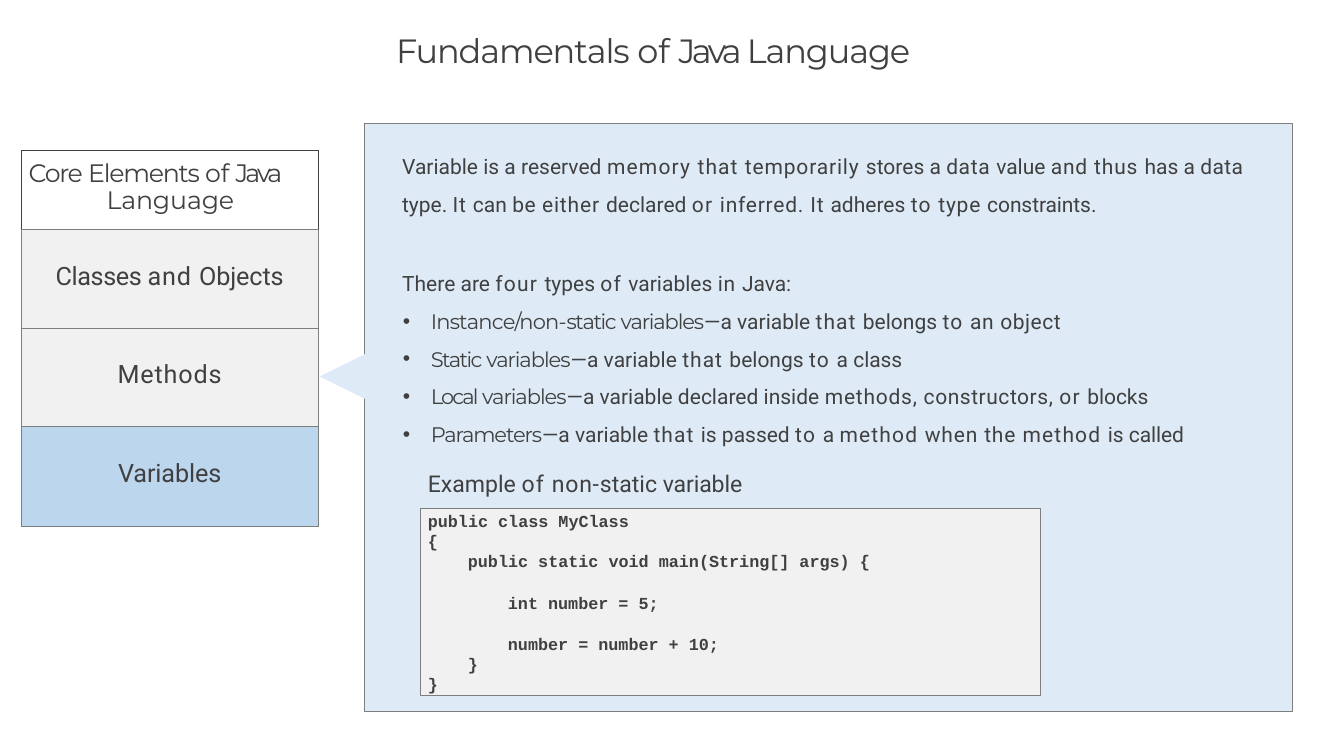
from collections import namedtuple

from lxml import etree
from pptx import Presentation
from pptx.dml.color import RGBColor
from pptx.enum.shapes import MSO_SHAPE
from pptx.enum.text import MSO_ANCHOR, PP_ALIGN
from pptx.oxml.ns import qn
from pptx.util import Pt

RECTANGLE = MSO_SHAPE.RECTANGLE
TOP, MIDDLE = MSO_ANCHOR.TOP, MSO_ANCHOR.MIDDLE
LEFT, CENTER = PP_ALIGN.LEFT, PP_ALIGN.CENTER

PX = 9144
COLORS = {
    "text": "404040",
    "rule": "7E7E7E",
    "panel": "DEEBF7",
    "gray": "F1F1F1",
    "active": "BCD6ED",
}
HEADING, BODY, CODE = "Montserrat", "Roboto", "Courier New"

Box = namedtuple("Box", "left top width height")

TITLE = [("Fundamentals ", -1.1), ("of ", -0.1), ("Java ", -3.4), ("Language", -1.1)]
MENU_HEADER = [("Core ", -1.3), ("Elements ", -1.2), ("of ", -0.2),
               ("Java ", -2.8), ("Language", -0.1)]
MENU_ITEMS = [
    ([("Classes ", -0.4), ("and ", 0.8), ("Objects", -0.1)], "gray"),
    ([("Methods", 0.8)], "gray"),
    ([("Variables", -0.1)], "active"),
]
DEFINITION = [
    ("Variable is a reserved ", 0), ("memory ", 1.1), ("that ", 1),
    ("temporarily ", 0.8), ("stores a ", 0), ("data ", 0.6), ("value ", 0),
    ("and thus ", 0.8), ("has a ", 0), ("data ", 0.3), ("type. ", 0),
    ("It ", 0.8), ("can ", 0), ("be ", 0.5), ("either ", 0.8),
    ("declared ", 0), ("or ", 1.2), ("inferred. ", 0.7), ("It ", 0.8),
    ("adheres ", 0), ("to ", 1.2), ("type ", 0.7), ("constraints.", -0.1),
]
TYPES_INTRO = [("There are ", 0), ("four ", 1.1), ("types ", 0), ("of ", 1.1),
               ("variables ", 0), ("in ", 0.8), ("Java:", -0.1)]
BELONGS = [("a variable ", 0), ("that ", 1), ("belongs ", 0), ("to ", 1.2)]
VARIABLE_TYPES = [
    ([("Instance/non-", -0.8), ("static ", -1.4), ("variables", -1.1)],
     BELONGS + [("an ", 0.6), ("object", 0.5)]),
    ([("Static ", -1.6), ("variables", -1)],
     BELONGS + [("a ", 0), ("class", -0.1)]),
    ([("Local ", -1.8), ("variables", -1)],
     [("a variable declared inside ", 0), ("methods, ", 0.7),
      ("constructors, ", 0.5), ("or ", 1.2), ("blocks", -0.1)]),
    ([("Parameters", -1.1)],
     [("a variable ", 0), ("that ", 1), ("is passed ", 0), ("to ", 1.2),
      ("a ", 0), ("method ", 1.1), ("when the ", 0.8), ("method ", 1.1),
      ("is", 0), (" called", -0.1)]),
]
EXAMPLE = [("Example ", 0), ("of ", 1.1), ("non-", 0.7), ("static ", 0),
           ("variable", -0.1)]
CODE_LINES = [
    ("public class MyClass", 0, 2),
    ("{", 0, 0),
    ("public static void main(String[] args) {", 1, 0),
    ("int number = 5;", 2, 21),
    ("number = number + 10;", 2, 20),
    ("}", 1, 0),
    ("}", 0, 0),
]


def rgb(name):
    return RGBColor.from_string(COLORS[name])


def place(box):
    return [side * PX for side in box]


def set_frame(frame, top_inset=1):
    frame.word_wrap = True
    frame.vertical_anchor = TOP
    frame.margin_left = frame.margin_right = frame.margin_bottom = 0
    frame.margin_top = top_inset * PX


def add_spans(para, spans, font=None):
    for text, spacing in spans:
        span = para.add_run()
        span.text = text
        if font:
            span.font.name = font
        if spacing:
            span.font._element.set("spc", str(round(spacing * 100)))


def add_para(frame, size, font=None, spans=(), before=0, indent=0, hanging=0,
             line=None, align=LEFT, bullet=None):
    para = frame.add_paragraph() if frame.text else frame.paragraphs[0]
    properties = para._p.get_or_add_pPr()
    properties.set("marL", str(indent * PX))
    properties.set("indent", str(-hanging * PX))
    if bullet:
        etree.SubElement(properties, qn("a:buFont"), typeface="Arial")
        etree.SubElement(properties, qn("a:buChar"), char=bullet)
    para.alignment = align
    para.space_before = Pt(before)
    if line:
        para.line_spacing = line
    para.font.size = Pt(size)
    para.font.color.rgb = rgb("text")
    if font:
        para.font.name = font
    add_spans(para, spans)
    return para


def add_box(page, box, fill, weight):
    shape = page.shapes.add_shape(RECTANGLE, *place(box))
    shape.shadow.inherit = False
    shape.fill.solid()
    shape.fill.fore_color.rgb = rgb(fill)
    shape.line.color.rgb = rgb("rule")
    shape.line.width = Pt(weight)
    return shape


def add_title(page, box):
    frame = page.shapes.add_textbox(*place(box)).text_frame
    set_frame(frame)
    add_para(frame, 32, HEADING, TITLE, before=1.1)


def set_border(cell, sides, color, weight):
    properties = cell._tc.get_or_add_tcPr()
    for side in sides:
        edge = etree.SubElement(properties, qn(f"a:ln{side}"), w=str(Pt(weight)))
        fill = etree.SubElement(edge, qn("a:solidFill"))
        etree.SubElement(fill, qn("a:srgbClr"), val=COLORS[color])


def add_menu(page, box):
    row_heights = [105, 130, 130, 132]
    table = page.shapes.add_table(len(row_heights), 1, *place(box)).table
    table.first_row = table.horz_banding = False
    table.columns[0].width = box.width * PX
    for row, height in zip(table.rows, row_heights):
        row.height = height * PX

    header = table.cell(0, 0)
    set_frame_margins(header, 15, 0)
    set_border(header, "LRT", "text", 0.75)
    set_border(header, "B", "rule", 1)
    header.fill.background()
    add_para(header.text_frame, 24, HEADING, MENU_HEADER, before=10.9,
             indent=113, hanging=103, line=Pt(25.9))

    for index, (spans, fill) in enumerate(MENU_ITEMS, 1):
        cell = table.cell(index, 0)
        set_frame_margins(cell, 0, 6)
        cell.vertical_anchor = MIDDLE
        set_border(cell, "LRTB", "rule", 1)
        cell.fill.solid()
        cell.fill.fore_color.rgb = rgb(fill)
        add_para(cell.text_frame, 24, BODY, spans, align=CENTER)


def set_frame_margins(cell, top, bottom):
    cell.margin_left = cell.margin_right = 0
    cell.margin_top, cell.margin_bottom = top * PX, bottom * PX


def add_pointer(page, box):
    right, bottom = box.left + box.width, box.top + box.height
    builder = page.shapes.build_freeform(right, box.top, scale=PX)
    builder.add_line_segments([(box.left, box.top + box.height // 2), (right, bottom)])
    pointer = builder.convert_to_shape()
    pointer.shadow.inherit = False
    pointer.fill.solid()
    pointer.fill.fore_color.rgb = rgb("panel")
    pointer.line.fill.background()


def add_code(page, box):
    frame = add_box(page, box, "gray", 0.72).text_frame
    set_frame(frame, 3)
    for text, level, before in CODE_LINES:
        para = add_para(frame, 16, CODE, [(text, 0)], before=before,
                        indent=10 + 53 * level, line=Pt(19))
        para.font.bold = True


def add_explanation(page, box):
    frame = page.shapes.add_textbox(*place(box)).text_frame
    set_frame(frame)
    add_para(frame, 20, BODY, DEFINITION, before=1, indent=1, line=1.5)
    add_para(frame, 20, BODY, TYPES_INTRO, before=51, indent=1)
    for term, meaning in VARIABLE_TYPES:
        para = add_para(frame, 20, before=12, indent=39, hanging=37, bullet="•")
        add_spans(para, term, HEADING)
        add_spans(para, [("—", -1)] + meaning, BODY)
    add_para(frame, 22, BODY, EXAMPLE, before=21.2, indent=35)


def add_panel(page, box):
    add_box(page, box, "panel", 0.96)
    add_pointer(page, Box(box.left - 59, box.top + 293, 83, 82))
    add_code(page, Box(box.left + 74, box.top + 509, 821, 247))
    add_explanation(page, Box(box.left + 49, box.top + 22, 1124, 469))


def main():
    deck = Presentation()
    deck.slide_width, deck.slide_height = 1778 * PX, 1000 * PX
    page = deck.slides.add_slide(deck.slide_layouts[6])
    add_title(page, Box(524, 38, 867, 65))
    add_panel(page, Box(482, 164, 1228, 777))
    add_menu(page, Box(28, 199, 393, 497))
    deck.save("out.pptx")


if __name__ == "__main__":
    main()
